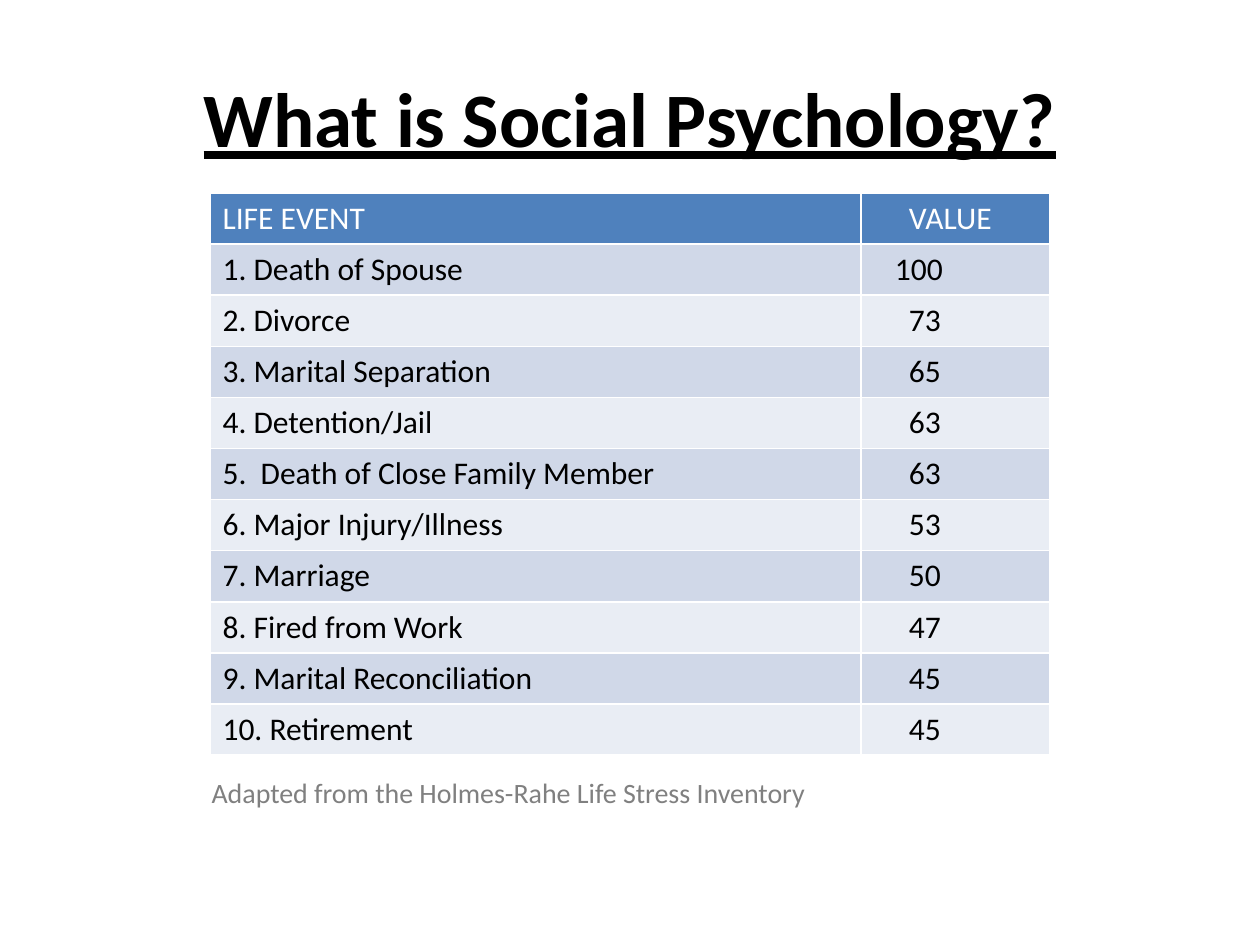
from pptx import Presentation
from pptx.dml.color import RGBColor
from pptx.enum.text import PP_ALIGN
from pptx.util import Emu, Pt
from lxml.etree import SubElement
from pptx.oxml.ns import qn


def px(n):
    return Emu(round(n * 914400 / 126))


def style(para, size, color, bold=False):
    font = para.font
    font.name = "Calibri"
    font.size = Pt(size)
    font.bold = bold
    font.color.rgb = RGBColor.from_string(color)


events = [
    ("LIFE EVENT", "VALUE"),
    ("1. Death of Spouse", "100"),
    ("2. Divorce", "73"),
    ("3. Marital Separation", "65"),
    ("4. Detention/Jail", "63"),
    ("5.  Death of Close Family Member", "63"),
    ("6. Major Injury/Illness", "53"),
    ("7. Marriage", "50"),
    ("8. Fired from Work", "47"),
    ("9. Marital Reconciliation", "45"),
    ("10. Retirement", "45"),
]

deck = Presentation()
deck.slide_width, deck.slide_height = px(1260), px(945)
slide = deck.slides.add_slide(deck.slide_layouts[1])

title = slide.shapes.title
title.left, title.top, title.width, title.height = px(63), px(38), px(1134), px(157)
title.text_frame.text = "What is Social Psychology?"
para = title.text_frame.paragraphs[0]
para.alignment = PP_ALIGN.CENTER
style(para, 44, "000000", True)
para.font.underline = True

note = slide.placeholders[1]
note.left, note.top, note.width, note.height = px(199), px(769), px(735), px(60)
note.text_frame.text = "Adapted from the Holmes-Rahe Life Stress Inventory"
para = note.text_frame.paragraphs[0]
style(para, 16, "808080")
props = para._p.get_or_add_pPr()
props.set("marL", str(px(48)))
props.set("indent", str(px(-48)))
SubElement(props, qn("a:buNone"))
props.insert(0, props.find(qn("a:buNone")))

high = 51
frame = slide.shapes.add_table(len(events), 2, px(210), px(193), px(840), px(high * len(events)))
table = frame.table
table.columns[0].width = px(651)
table.columns[1].width = px(189)

for row, texts in enumerate(events):
    table.rows[row].height = px(high)
    fill = "4F81BD" if row == 0 else ("E9EDF4", "D0D8E8")[row % 2]
    for col, text in enumerate(texts):
        cell = table.cell(row, col)
        cell.text = text
        cell.fill.solid()
        cell.fill.fore_color.rgb = RGBColor.from_string(fill)
        style(cell.text_frame.paragraphs[0], 18, "000000" if row else "FFFFFF")
        if col == 1:
            cell.margin_left = px(34 if text == "100" else 48)

deck.save("out.pptx")
